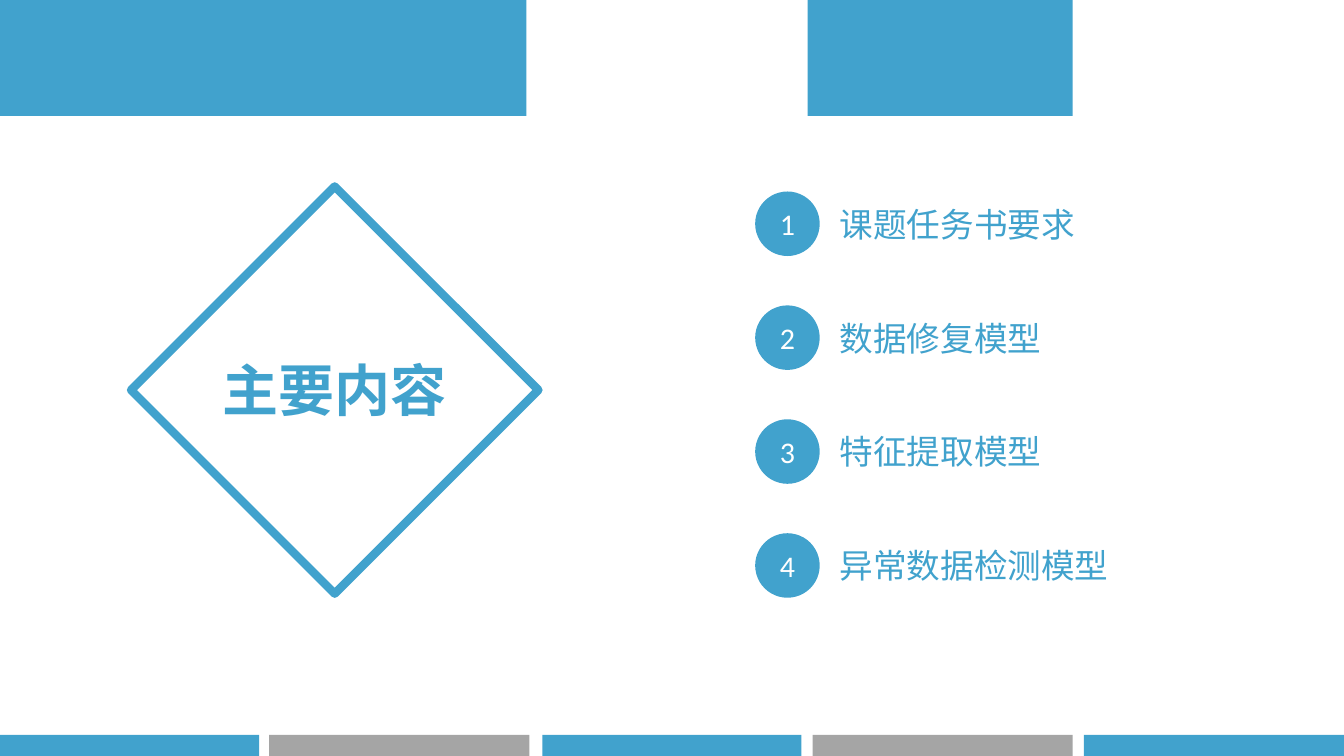
"""Build a contents slide with a diamond title and four numbered topics."""
from pptx import Presentation
from pptx import util as u
from pptx.dml.color import RGBColor
from pptx.enum import shapes, text
from pptx.oxml import ns
from lxml import etree

BLUE = RGBColor(0x41, 0xA2, 0xCD)
GREY = RGBColor(0xA5, 0xA5, 0xA5)
WHITE = RGBColor(0xFF, 0xFF, 0xFF)
CJK_FONT = "Noto Sans CJK SC"

TITLE = "主要内容"
TOPICS = ["课题任务书要求", "数据修复模型", "特征提取模型", "异常数据检测模型"]
TOP_BANDS = [(0, 5.22), (8.01, 2.63)]
BOTTOM_BANDS = [(0, 2.57), (2.67, 2.58), (5.38, 2.57), (8.06, 2.58), (10.75, 2.58)]

TITLE_FORMAT = {"size": u.Pt(40), "name": "Calibri", "bold": True}
NUMBER_FORMAT = {"size": u.Pt(21.4), "name": "Calibri"}
TOPIC_FORMAT = {"size": u.Pt(24), "name": CJK_FONT}

FIRST_TOP, TOPIC_STEP, CIRCLE_SIZE = 1.9, 1.13, 0.64


def inches(*lengths):
    return [u.Inches(length) for length in lengths]


def text_width(words, size):
    return len(words) * size.pt / 72 + 0.2


def add_block(page, kind, place, fill=None):
    block = page.shapes.add_shape(kind, *inches(*place))
    block.shadow.inherit = False
    block.line.fill.background()
    if fill is None:
        block.fill.background()
    else:
        block.fill.solid()
        block.fill.fore_color.rgb = fill
    return block


def write(box, words, style, color, align, anchor, wrap=False):
    frame = box.text_frame
    frame.auto_size = text.MSO_AUTO_SIZE.NONE
    frame.word_wrap = wrap
    frame.vertical_anchor = anchor
    para = frame.paragraphs[0]
    para.alignment = align
    span = para.add_run()
    span.text = words
    for key, value in style.items():
        setattr(span.font, key, value)
    span.font.color.rgb = color
    latin = span.font._element.find(ns.qn("a:latin"))
    east_asian = etree.Element(ns.qn("a:ea"), typeface=CJK_FONT)
    latin.addnext(east_asian)


def main():
    deck = Presentation()
    deck.slide_width, deck.slide_height = inches(13.33, 7.5)
    page = deck.slides.add_slide(deck.slide_layouts[5])
    kinds = shapes.MSO_SHAPE
    center, left = text.PP_ALIGN.CENTER, text.PP_ALIGN.LEFT
    top, middle = text.MSO_ANCHOR.TOP, text.MSO_ANCHOR.MIDDLE

    for x, width in TOP_BANDS:
        add_block(page, kinds.RECTANGLE, (x, 0, width, 1.15), BLUE)
    for index, (x, width) in enumerate(BOTTOM_BANDS):
        fill = GREY if index % 2 else BLUE
        add_block(page, kinds.RECTANGLE, (x, 7.29, width, 0.21), fill)

    diamond = add_block(page, kinds.DIAMOND, (1.3, 1.85, 4.04, 4.04))
    diamond.line.color.rgb = BLUE
    diamond.line.width = u.Pt(6)

    title = page.shapes.title
    title_width = text_width(TITLE, TITLE_FORMAT["size"])
    title.left, title.top, title.width, title.height = inches(2.11, 3.48, title_width, 0.77)
    write(title, TITLE, TITLE_FORMAT, BLUE, center, top)

    for index, topic in enumerate(TOPICS):
        y = FIRST_TOP + index * TOPIC_STEP
        circle = add_block(page, kinds.OVAL, (7.49, y, CIRCLE_SIZE, CIRCLE_SIZE), BLUE)
        write(circle, str(index + 1), NUMBER_FORMAT, WHITE, center, middle, wrap=True)
        width = text_width(topic, TOPIC_FORMAT["size"])
        label = page.shapes.add_textbox(*inches(8.23, y + 0.07, width, 0.5))
        write(label, topic, TOPIC_FORMAT, BLUE, left, top)

    deck.save("out.pptx")


if __name__ == "__main__":
    main()
